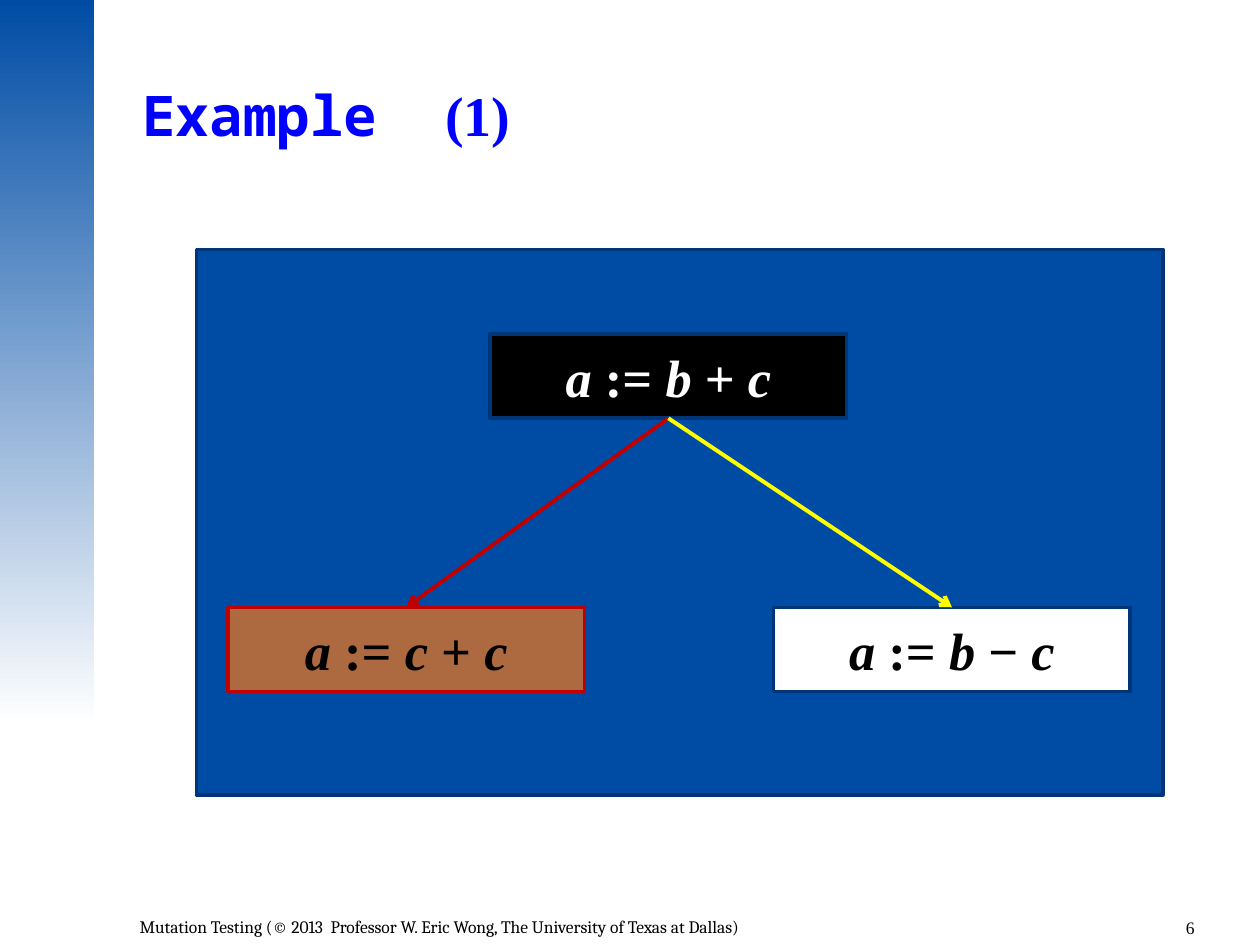
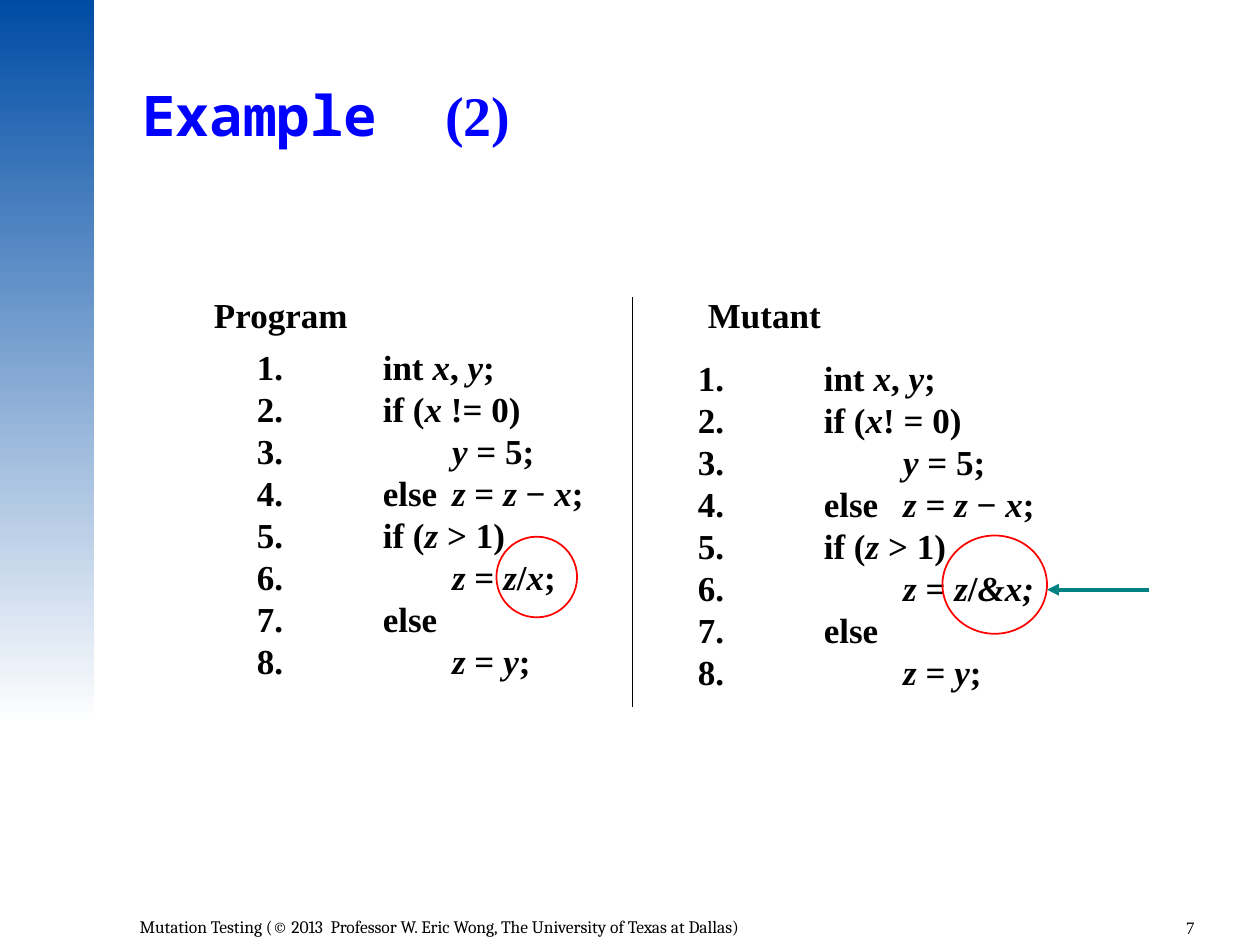
from typing import NamedTuple, Optional

import pptx
import pptx.dml.color
import pptx.enum.shapes
import pptx.enum.text
import pptx.oxml
import pptx.oxml.ns
import pptx.util
from lxml import etree

RGBColor = pptx.dml.color.RGBColor
Shape = pptx.enum.shapes.MSO_SHAPE
Align = pptx.enum.text.PP_ALIGN
Anchor = pptx.enum.text.MSO_ANCHOR
qn = pptx.oxml.ns.qn

BLUE = RGBColor(0x00, 0x4C, 0xA5)
DARK_BLUE = RGBColor(0x00, 0x35, 0x78)
TITLE_BLUE = RGBColor(0x00, 0x00, 0xFF)
BLACK = RGBColor(0x00, 0x00, 0x00)
WHITE = RGBColor(0xFF, 0xFF, 0xFF)
BROWN = RGBColor(0xAD, 0x6A, 0x41)
DARK_RED = RGBColor(0xC0, 0x00, 0x00)
RED = RGBColor(0xFF, 0x00, 0x00)
YELLOW = RGBColor(0xFF, 0xFF, 0x00)
TEAL = RGBColor(0x00, 0x82, 0x82)

SERIF = "Times New Roman"
MONO = "Noto Sans Mono"
FOOTER_FONT = "Cambria"
FOOTER = "Mutation Testing (© 2013  Professor W. Eric Wong, The University of Texas at Dallas)"

# The page is a grid of 100 columns by 75 rows.
PAGE_WIDTH = pptx.util.Inches(10)
PAGE_HEIGHT = pptx.util.Inches(7.5)
COLUMN = PAGE_WIDTH // 100
ROW = PAGE_HEIGHT // 75


class Area(NamedTuple):
    column: float
    row: float
    columns: float
    rows: float

    def lengths(self) -> list[int]:
        units = (COLUMN, ROW, COLUMN, ROW)
        return [round(count * unit) for count, unit in zip(self, units)]


class Style(NamedTuple):
    size: float
    color: RGBColor = BLACK
    bold: bool = False
    font: str = SERIF


class Statement(NamedTuple):
    text: str
    column: float
    row: float
    fill: RGBColor
    outline: RGBColor
    color: RGBColor


class Listing(NamedTuple):
    heading: str
    heading_column: float
    code_column: float
    code_row: float
    indent: float
    lines: tuple[str, ...]
    circle: Area


NODE_COLUMNS, NODE_ROWS = 28.3, 6.7
SOURCE = Statement("*a* := *b* + *c*", 38.9, 26.5, BLACK, DARK_BLUE, WHITE)
MUTANTS = (
    (Statement("*a* := *c* + *c*", 18.1, 48.2, BROWN, DARK_RED, BLACK), DARK_RED),
    (Statement("*a* := *b* − *c*", 61.4, 48.2, WHITE, DARK_BLUE, BLACK), YELLOW),
)

NUMBER_TAB = 10
LISTINGS = (
    Listing("Program", 16, 19.4, 26.9, 15.5, (
        "int *x*, *y*;", "if (*x* != 0)", "\t*y* = 5;", "else\t*z* = *z* − *x*;",
        "if (*z* > 1)", "\t*z* = *z*/*x*;", "else", "\t*z* = *y*;",
    ), Area(39.4, 42.6, 6.4, 6.4)),
    Listing("Mutant", 55.2, 54.4, 27.8, 16.3, (
        "int *x*, *y*;", "if (*x*! = 0)", "\t*y* = 5;", "else\t*z* = *z* − *x*;",
        "if (*z* > 1)", "\t*z* = *z*/*&x;*", "else", "\t*z* = *y*;",
    ), Area(74.8, 42.5, 8.3, 7.8)),
)

TITLE = Style(32, TITLE_BLUE, True)
CODE = Style(20, bold=True)
SMALL = Style(10)


def add_span(para, text: str, style: Style, italic: bool = False) -> None:
    span = para.add_run()
    span.text = text
    span.font.size = pptx.util.Pt(style.size)
    span.font.name = style.font
    span.font.bold = style.bold
    span.font.italic = italic
    span.font.color.rgb = style.color


def write(para, text: str, style: Style) -> None:
    """Write text in which asterisks enclose the italic parts."""
    for index, part in enumerate(text.split("*")):
        if part:
            add_span(para, part, style, italic=index % 2 == 1)


def add_text(page, area: Area, text: str, style: Style, align=Align.LEFT):
    box = page.shapes.add_textbox(*area.lengths())
    box.text_frame.word_wrap = True
    para = box.text_frame.paragraphs[0]
    para.alignment = align
    write(para, text, style)
    return box


def add_shape(page, kind, area: Area, fill: Optional[RGBColor],
              outline: Optional[RGBColor], width: float = 2):
    shape = page.shapes.add_shape(kind, *area.lengths())
    shape.shadow.inherit = False
    if fill is None:
        shape.fill.background()
    else:
        shape.fill.solid()
        shape.fill.fore_color.rgb = fill
    if outline is None:
        shape.line.fill.background()
    else:
        shape.line.color.rgb = outline
        shape.line.width = pptx.util.Pt(width)
    return shape


def add_line(page, start: tuple[float, float], end: tuple[float, float],
             color: RGBColor, width: float, arrow: str = ""):
    line = page.shapes.add_connector(
        pptx.enum.shapes.MSO_CONNECTOR.STRAIGHT,
        round(start[0] * COLUMN), round(start[1] * ROW),
        round(end[0] * COLUMN), round(end[1] * ROW))
    line.line.color.rgb = color
    line.line.width = pptx.util.Pt(width)
    properties = line._element.spPr
    if arrow:
        etree.SubElement(properties.find(qn("a:ln")), qn("a:tailEnd"), type=arrow)
    etree.SubElement(properties, qn("a:effectLst"))
    return line


def set_tabs(para, stops: tuple[float, ...]) -> None:
    tabs = etree.SubElement(para._p.get_or_add_pPr(), qn("a:tabLst"))
    for stop in stops:
        etree.SubElement(tabs, qn("a:tab"), pos=str(round(stop * COLUMN)), algn="l")


def add_page(deck, example: int, number: int):
    """Add a page with the band, title, number and footer that all pages share."""
    page = deck.slides.add_slide(deck.slide_layouts[6])
    band = add_shape(page, Shape.RECTANGLE, Area(0, 0, 7.5, 57.5), WHITE, None)
    band.fill.gradient()
    band.fill.gradient_angle = 270
    for stop, color in zip(band.fill.gradient_stops, (BLUE, WHITE)):
        stop.color.rgb = color

    title = add_text(page, Area(11.3, 7, 84.8, 5.9), "Example  ",
                     TITLE._replace(font=MONO)).text_frame
    title.margin_left = title.margin_right = title.margin_top = title.margin_bottom = 0
    title.paragraphs[0].line_spacing = 0.9
    add_span(title.paragraphs[0], f"({example})", TITLE)

    add_text(page, Area(90, 72.3, 5.8, 3), str(number), SMALL, Align.RIGHT)
    add_text(page, Area(10.1, 72.2, 78.8, 2.8), FOOTER, SMALL._replace(font=FOOTER_FONT))
    return page


def add_statement(page, statement: Statement):
    area = Area(statement.column, statement.row, NODE_COLUMNS, NODE_ROWS)
    box = add_shape(page, Shape.RECTANGLE, area, statement.fill, statement.outline)
    box.text_frame.vertical_anchor = Anchor.MIDDLE
    para = box.text_frame.paragraphs[0]
    para.alignment = Align.CENTER
    write(para, statement.text, Style(30, statement.color, True))
    return box


def add_listing(page, listing: Listing) -> None:
    add_text(page, Area(listing.heading_column, 22.8, 13.3, 4.4), listing.heading, CODE)
    area = Area(listing.code_column, listing.code_row, 30, 27.7)
    frame = page.shapes.add_textbox(*area.lengths()).text_frame
    frame.word_wrap = True
    for number, line in enumerate(listing.lines, start=1):
        para = frame.paragraphs[0] if number == 1 else frame.add_paragraph()
        set_tabs(para, (NUMBER_TAB, listing.indent))
        write(para, f"{number}.\t{line}", CODE)


def build_mutation_tree(deck) -> None:
    page = add_page(deck, 1, 6)
    add_shape(page, Shape.RECTANGLE, Area(15.6, 19.8, 76.7, 43.3), BLUE, DARK_BLUE)
    source = add_statement(page, SOURCE)
    for statement, color in MUTANTS:
        mutant = add_statement(page, statement)
        arrow = add_line(page, (0, 0), (1, 1), color, 2.25, "arrow")
        arrow.begin_connect(source, 2)
        arrow.end_connect(mutant, 0)


def build_code_comparison(deck) -> None:
    page = add_page(deck, 2, 7)
    for listing in LISTINGS:
        add_listing(page, listing)
    add_line(page, (50.2, 23.6), (50.2, 56.1), BLACK, 1)
    add_line(page, (91.2, 46.8), (83.1, 46.8), TEAL, 2.25, "triangle")
    for listing in LISTINGS:
        add_shape(page, Shape.OVAL, listing.circle, None, RED, 1)


def main() -> None:
    deck = pptx.Presentation()
    deck.slide_width = PAGE_WIDTH
    deck.slide_height = PAGE_HEIGHT
    build_mutation_tree(deck)
    build_code_comparison(deck)
    deck.save("out.pptx")


if __name__ == "__main__":
    main()
